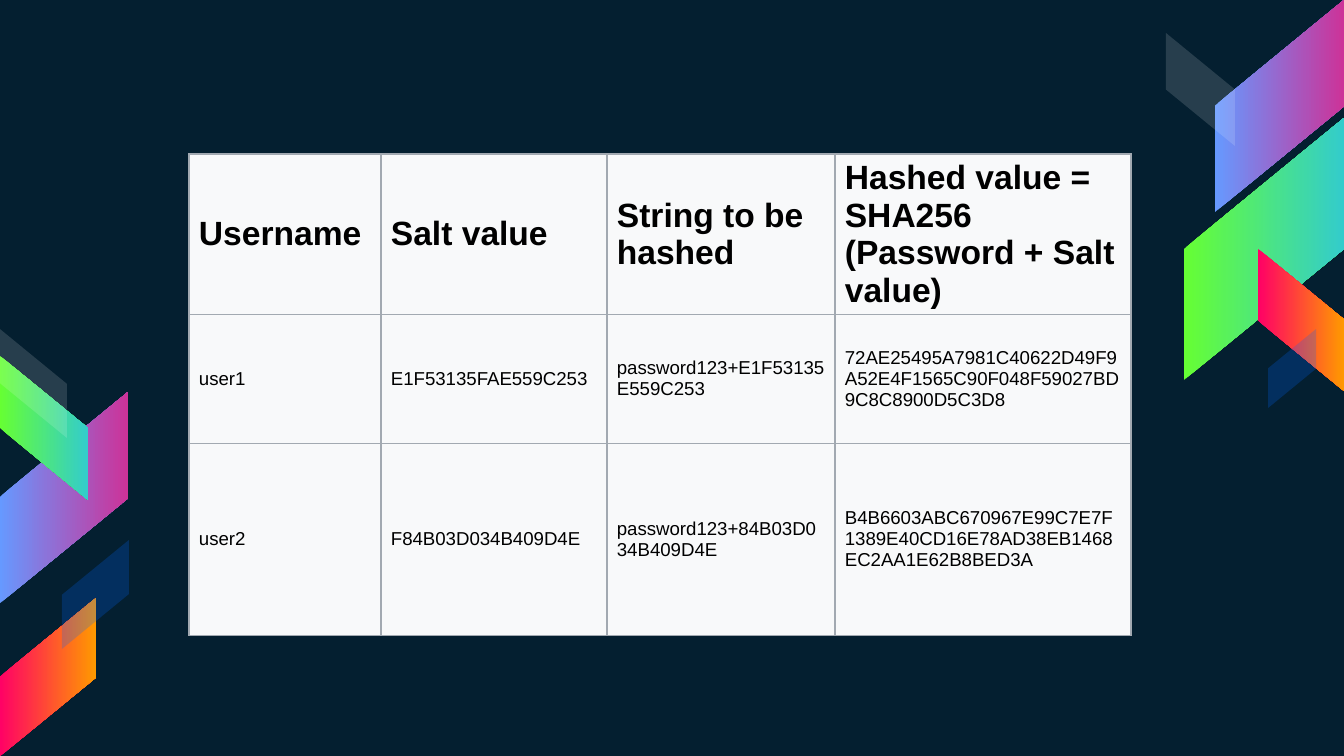
from dataclasses import dataclass

from lxml import etree
from pptx import Presentation
from pptx import util as u
from pptx.dml.color import RGBColor
from pptx.enum import shapes, text
from pptx.oxml.ns import qn

PX = 914400 / 134.4  # EMU in one px


@dataclass(frozen=True)
class Theme:
    back: str = "041F30"
    cell: str = "F8F9FA"
    line: str = "A2A9B1"
    ink: str = "000000"
    font: str = "Arial"
    head: int = 18
    body: int = 10
    slant: float = 0.819
    # Gradients run from left to right
    dusk: tuple = ("6699FF", "CC3399")
    mint: tuple = ("66FF33", "33CCCC")
    fire: tuple = ("FF0066", "FF9900")
    # Tints are a colour and its opacity in percent
    mist: tuple = ("FFFFFF", 14)
    deep: tuple = ("0066FF", 23)


T = Theme()

# Each band: left, top, width, height, whether it rises, paint
RIGHT = [
    (49, 0, 129, 212, True, T.dusk),
    (18, 118, 160, 262, True, T.mint),
    (92, 249, 86, 142, False, T.fire),
    (0, 33, 69, 113, False, T.mist),
    (102, 329, 48, 79, True, T.deep),
]
LEFT = [
    (-1, 63, 129, 212, True, T.dusk),
    (0, 27, 88, 144, False, T.mint),
    (-1, 269, 97, 159, True, T.fire),
    (0, 0, 67, 109, False, T.mist),
    (62, 211, 67, 109, True, T.deep),
]

COLS = [192, 226, 228, 296]
ROWS = [132, 129, 192]
DATA = [
    ["Username", "Salt value", "String to be hashed",
     "Hashed value = SHA256 (Password + Salt value)"],
    ["user1", "E1F53135FAE559C253", "password123+E1F53135E559C253",
     "72AE25495A7981C40622D49F9A52E4F1565C90F048F59027BD9C8C8900D5C3D8"],
    ["user2", "F84B03D034B409D4E", "password123+84B03D034B409D4E",
     "B4B6603ABC670967E99C7E7F1389E40CD16E78AD38EB1468EC2AA1E62B8BED3A"],
]


def px(n):
    return u.Emu(round(n * PX))


def rgb(code):
    return RGBColor.from_string(code)


def solid(fill, code):
    fill.solid()
    fill.fore_color.rgb = rgb(code)


def write(frame, words, *, size, bold=False, color=T.ink):
    run = frame.paragraphs[0].add_run()
    run.text = words
    font = run.font
    font.name, font.size, font.bold = T.font, u.Pt(size), bold
    font.color.rgb = rgb(color)


def paint(fill, pair):
    first, last = pair
    if isinstance(last, int):
        solid(fill, first)
        tint = fill._xPr.find(".//" + qn("a:srgbClr"))
        etree.SubElement(tint, qn("a:alpha"), val=str(last * 1000))
    else:
        fill.gradient()
        fill.gradient_angle = 270
        for stop, code in zip(fill.gradient_stops, pair):
            stop.color.rgb = rgb(code)


def band(slide, x, y, w, h, rise, pair):
    # The preset lies flat, so it is sized h by w and turned about its centre
    shape = slide.shapes.add_shape(
        shapes.MSO_SHAPE.PARALLELOGRAM,
        px(x + (w - h) / 2), px(y + (h - w) / 2), px(h), px(w))
    shape.adjustments[0] = T.slant
    shape.rotation = 270
    if rise:
        shape._element.spPr.xfrm.set("flipH", "1")
    shape.shadow.inherit = False
    shape.line.fill.background()
    paint(shape.fill, pair)


def ribbon(slide, box, bands):
    left, top = box
    for x, y, *rest in bands:
        band(slide, left + x, top + y, *rest)


def border(cell):
    props = cell._tc.get_or_add_tcPr()
    for side in ("lnL", "lnR", "lnT", "lnB"):
        line = etree.SubElement(props, qn("a:" + side), w=str(u.Pt(0.75)))
        fill = etree.SubElement(line, qn("a:solidFill"))
        etree.SubElement(fill, qn("a:srgbClr"), val=T.line)


def grid(slide, box):
    left, top = box
    table = slide.shapes.add_table(
        len(ROWS), len(COLS), px(left), px(top),
        px(sum(COLS)), px(sum(ROWS))).table
    table.horz_banding = False
    for col, wide in zip(table.columns, COLS):
        col.width = px(wide)
    for r, (row, tall) in enumerate(zip(table.rows, ROWS)):
        row.height = px(tall)
        for cell, words in zip(row.cells, DATA[r]):
            border(cell)
            solid(cell.fill, T.cell)
            cell.vertical_anchor = text.MSO_ANCHOR.MIDDLE
            cell.margin_left = cell.margin_right = px(10)
            cell.margin_top = cell.margin_bottom = px(5)
            write(cell.text_frame, words, bold=r == 0,
                  size=T.body if r else T.head)


def main():
    deck = Presentation()
    deck.slide_width, deck.slide_height = px(1344), px(756)
    slide = deck.slides.add_slide(deck.slide_layouts[6])
    solid(slide.background.fill, T.back)
    # Side ribbons
    ribbon(slide, (1166, 0), RIGHT)
    ribbon(slide, (0, 329), LEFT)
    # Table of salted hashes
    grid(slide, (189, 154))
    deck.save("out.pptx")


if __name__ == "__main__":
    main()
